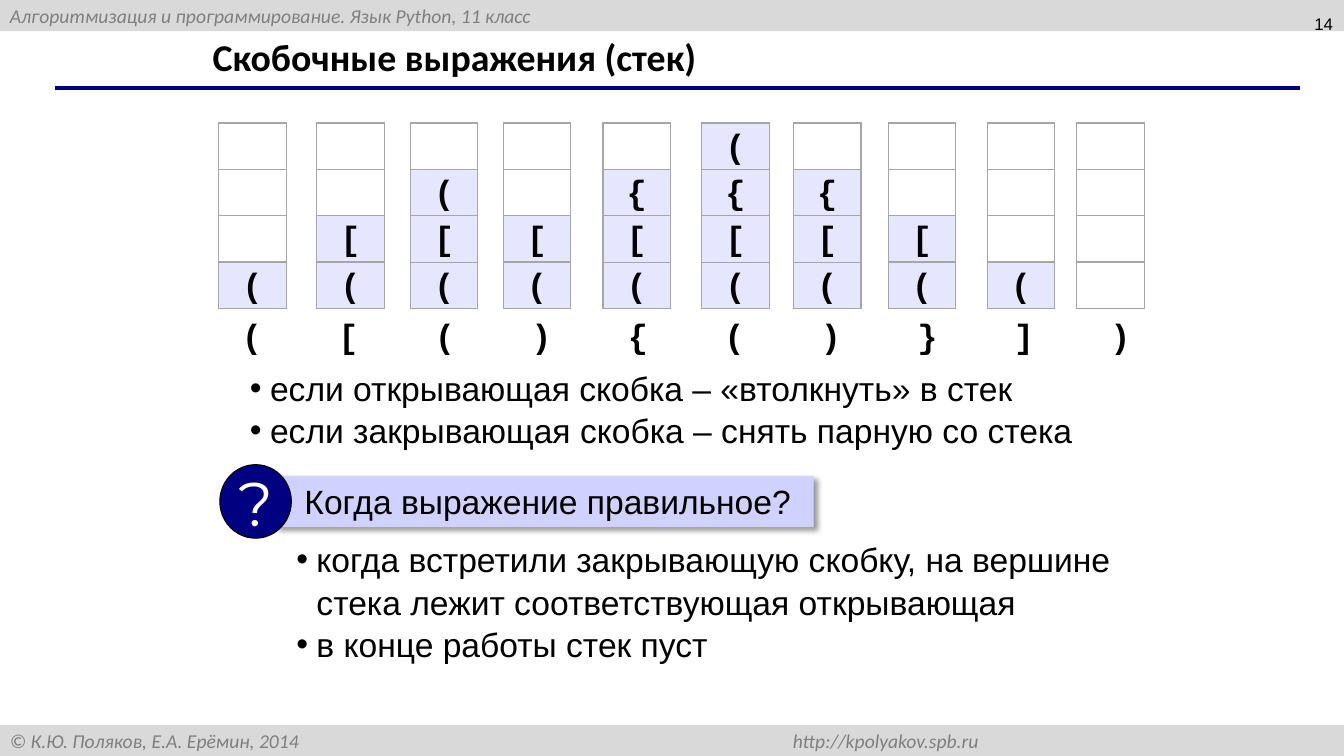
from lxml import etree
from pptx import Presentation
from pptx.dml.color import RGBColor
from pptx.enum import shapes, text
from pptx.oxml import ns, parse_xml
from pptx.util import Inches, Pt

COLORS = {
    "black": "000000", "white": "FFFFFF", "band": "D9D9D9", "band_text": "7F7F7F",
    "navy": "000080", "filled": "E6E6FF", "border": "A6A6A6", "question": "D1D1FF",
}
BODY = {"name": "Arial", "size": Pt(24)}
BRACKET = {"name": "Courier New", "size": Pt(24), "bold": True}
BAND = {"name": "Calibri", "size": Pt(14), "italic": True}
CENTER = {"alignment": text.PP_ALIGN.CENTER}
NAMESPACE = 'xmlns:a="http://schemas.openxmlformats.org/drawingml/2006/main"'


def write(frame, lines, font, color="black", layout=None, middle=True):
    """Fill a text frame or table cell with one paragraph per line."""
    frame.word_wrap = True
    frame.vertical_anchor = text.MSO_ANCHOR.MIDDLE if middle else text.MSO_ANCHOR.TOP
    target = getattr(frame, "text_frame", frame)
    for index, line in enumerate(lines):
        para = target.add_paragraph() if index else target.paragraphs[0]
        for name, value in (layout or {}).items():
            setattr(para, name, value)
        span = para.add_run()
        span.text = line
        for name, value in font.items():
            setattr(span.font, name, value)
        span.font.color.rgb = RGBColor.from_string(COLORS[color])


def add_box(kind, left, top, width, height, fill):
    box = page.shapes.add_shape(kind, Inches(left), Inches(top), Inches(width), Inches(height))
    box.shadow.inherit = False
    box.fill.solid()
    box.fill.fore_color.rgb = RGBColor.from_string(COLORS[fill])
    box.line.fill.background()
    return box


deck = Presentation()
deck.slide_width, deck.slide_height = Inches(13.33), Inches(7.5)
page = deck.slides.add_slide(deck.slide_layouts[6])

# Header and footer bands
RECT = shapes.MSO_SHAPE.RECTANGLE
for top, line in (
    (0, "Алгоритмизация и программирование. Язык Python, 11 класс"),
    (7.19, "© К.Ю. Поляков, Е.А. Ерёмин, 2014\thttp://kpolyakov.spb.ru"),
):
    band = add_box(RECT, 0, top, 13.33, 0.31, "band")
    write(band.text_frame, [line], BAND, "band_text", {"alignment": text.PP_ALIGN.LEFT})
    tabs = etree.SubElement(band.text_frame.paragraphs[0]._p.get_or_add_pPr(), ns.qn("a:tabLst"))
    etree.SubElement(tabs, ns.qn("a:tab"), pos=str(Inches(9.61)), algn="r")

rule = page.shapes.add_connector(
    shapes.MSO_CONNECTOR.STRAIGHT, Inches(0.55), Inches(0.87), Inches(12.89), Inches(0.87))
rule.line.color.rgb = RGBColor.from_string(COLORS["navy"])
rule.line.width = Pt(3)
etree.SubElement(rule._element.spPr, ns.qn("a:effectLst"))

# Title and page number
for place, line, font, layout in (
    ((2.01, 0.33, 9.16, 0.52), "Скобочные выражения (стек)",
     {"name": "Calibri", "size": Pt(27), "bold": True}, {"line_spacing": 0.9}),
    ((10.21, -0.02, 3.11, 0.52), "14",
     {"name": "Arial", "size": Pt(12)}, {"alignment": text.PP_ALIGN.RIGHT}),
):
    box = page.shapes.add_textbox(*map(Inches, place))
    write(box.text_frame, [line], font, layout=layout)

# One stack table above each bracket, showing the stack after that bracket
ROWS, ROW_HEIGHT, STACK_WIDTH = 4, 0.46, 0.67
stack_lefts = [2.17, 3.14, 4.07, 4.99, 5.98, 6.96, 7.87, 8.81, 9.79, 10.68]
stack = []
for index, (bracket, left) in enumerate(zip("([(){()}])", stack_lefts)):
    label = page.shapes.add_textbox(
        Inches(2.2 + 0.957 * index), Inches(3.07), Inches(0.6), Inches(0.38))
    write(label.text_frame, [bracket], BRACKET, layout=CENTER, middle=False)

    if bracket in "([{":
        stack.append(bracket)
    else:
        stack.pop()
    table = page.shapes.add_table(
        ROWS, 1, Inches(left), Inches(1.22), Inches(STACK_WIDTH), Inches(ROWS * ROW_HEIGHT)).table
    table.first_row = table.horz_banding = False
    for level in range(ROWS):
        cell = table.cell(ROWS - 1 - level, 0)
        cell.margin_left = cell.margin_right = Inches(0.14)
        cell.margin_top = cell.margin_bottom = 0
        for side in ("lnL", "lnR", "lnT", "lnB"):
            cell._tc.get_or_add_tcPr().append(parse_xml(
                f'<a:{side} {NAMESPACE} w="{Pt(1)}"><a:solidFill>'
                f'<a:srgbClr val="{COLORS["border"]}"/></a:solidFill></a:{side}>'))
        if level < len(stack):
            cell.fill.solid()
            cell.fill.fore_color.rgb = RGBColor.from_string(COLORS["filled"])
            write(cell, [stack[level]], BRACKET,
                  layout={**CENTER, "line_spacing": 1.15, "space_before": Pt(2)})
        else:
            cell.fill.background()

# Question bar with its round mark
question = add_box(RECT, 2.74, 4.72, 5.33, 0.51, "question")
question.text_frame.margin_left = Inches(0.28)
write(question.text_frame, ["Когда выражение правильное?"], BODY,
      layout={"alignment": text.PP_ALIGN.LEFT})
effects = question._element.spPr.find(ns.qn("a:effectLst"))
effects.append(parse_xml(
    f'<a:outerShdw {NAMESPACE} blurRad="{Pt(4)}" dist="{Pt(3)}" dir="2700000" algn="tl">'
    f'<a:srgbClr val="{COLORS["black"]}"><a:alpha val="40000"/></a:srgbClr></a:outerShdw>'))

mark = add_box(shapes.MSO_SHAPE.OVAL, 2.18, 4.61, 0.71, 0.73, "navy")
mark.line.color.rgb = RGBColor.from_string(COLORS["black"])
mark.line.width = Pt(0.75)
write(mark.text_frame, ["?"], {"name": "Montserrat", "size": Pt(44)}, "white", CENTER)
mark.text_frame.word_wrap = False

# Bulleted lists
for place, lines in (
    ((2.84, 5.28, 8.59, 1.31), [
        "когда встретили закрывающую скобку, на вершине стека лежит соответствующая открывающая",
        "в конце работы стек пуст"]),
    ((2.38, 3.58, 8.51, 0.91), [
        "если открывающая скобка – «втолкнуть» в стек",
        "если закрывающая скобка – снять парную со стека"]),
):
    box = page.shapes.add_textbox(*map(Inches, place))
    write(box.text_frame, lines, BODY, layout={"line_spacing": 1.05}, middle=False)
    for para in box.text_frame.paragraphs:
        props = para._p.get_or_add_pPr()
        props.set("marL", str(Inches(0.2)))
        props.set("indent", str(-Inches(0.2)))
        etree.SubElement(props, ns.qn("a:buFont"), typeface="Arial")
        etree.SubElement(props, ns.qn("a:buChar"), char="•")

deck.save("out.pptx")
